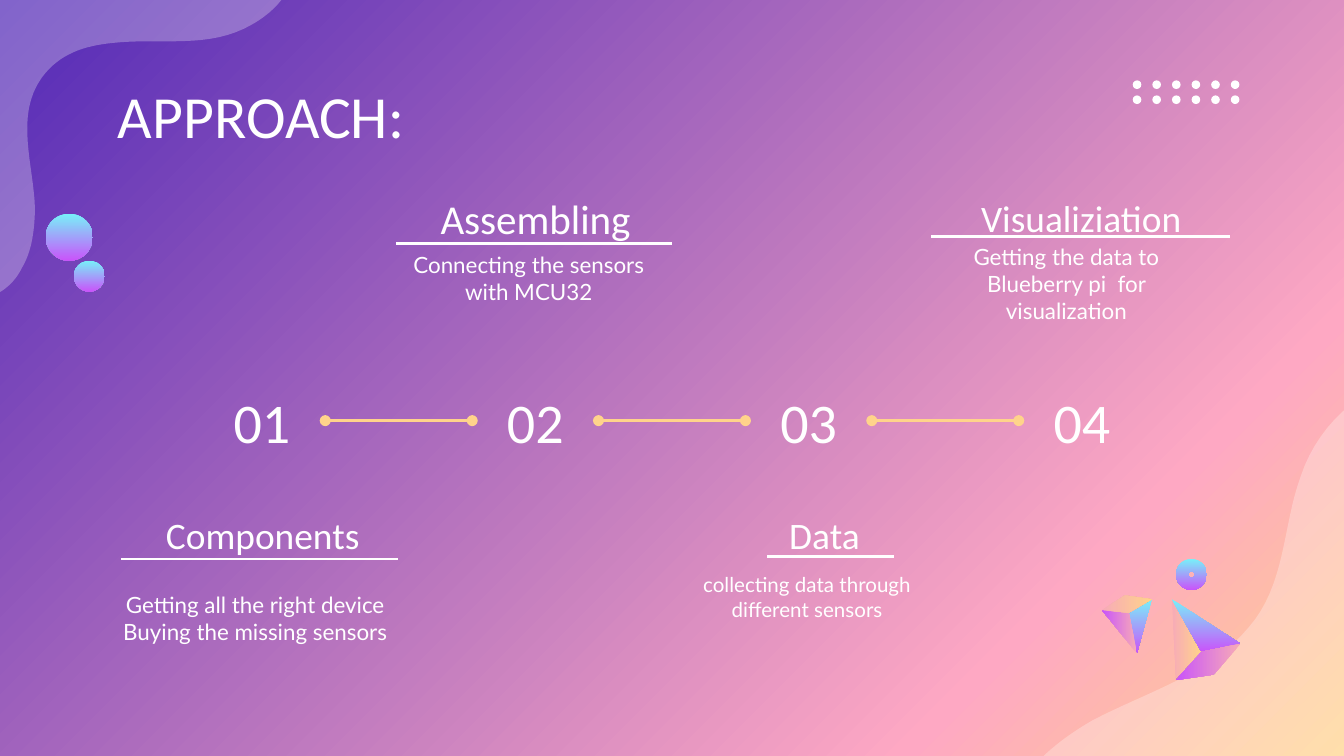
"""Builds a four-step approach timeline slide on a 100-column grid."""
import copy
from dataclasses import dataclass

import pptx
import pptx.dml.color
import pptx.enum.shapes
import pptx.enum.text
import pptx.oxml
import pptx.oxml.ns
import pptx.util

CELL = pptx.util.Inches(0.1)
COLUMNS, ROWS = 100, 56.25
SHAPE = pptx.enum.shapes.MSO_SHAPE
CONNECTOR = pptx.enum.shapes.MSO_CONNECTOR
ALIGN = pptx.enum.text.PP_ALIGN
qn = pptx.oxml.ns.qn


@dataclass(frozen=True)
class Theme:
    """Colours, gradients and type sizes of the slide."""
    white: str = "FFFFFF"
    gold: str = "FFD38B"
    backdrop: tuple = ((0, "5229B7"), (0.79, "FEA8C3"), (1, "FFD38B"))
    cool: tuple = ((0, "78F0F9"), (1, "C954FA"))
    pink: tuple = ((0, "F7ABB7"), (1, "C954FA"))
    warm: tuple = ((0, "F7ABB7"), (1, "FFD38B"))
    heading_font: str = "Calibri"
    body_font: str = "Lato"
    title: int = 32
    number: int = 30
    heading_large: int = 22
    heading: int = 20
    body: int = 12
    body_small: int = 11
    rule: float = 1.5
    blob_opacity: int = 28


THEME = Theme()


@dataclass(frozen=True)
class Box:
    """A region in grid columns and rows."""
    left: float
    top: float
    width: float
    height: float

    def inner(self, left, top, width, height):
        """Return a box offset from this box's top-left corner."""
        return Box(self.left + left, self.top + top, width, height)

    def lengths(self):
        """Return the box as slide lengths."""
        return [cells(value) for value in (self.left, self.top, self.width, self.height)]


STEPS = (
    (Box(8.4, 37, 22.3, 5.6), "Components", THEME.heading, (0.6, 4.6, 20.6),
     ("Getting all the right device", "Buying the missing sensors"), THEME.body, (-1.1, 7.3, 23.4, 3.4)),
    (Box(28.7, 13.4, 22.3, 5.6), "Assembling", THEME.heading_large, (0.8, 4.7, 20.5),
     ("Connecting the sensors with MCU32",), THEME.body, (0.5, 4.9, 20.3, 4.8)),
    (Box(49, 37, 24.7, 5.6), "Data", THEME.heading, (8.1, 4.4, 9.4),
     ("collecting data through different sensors",), THEME.body_small, (1.8, 4.6, 18.5, 5.6)),
    (Box(69.3, 13.4, 22.3, 5.6), "Visualiziation", THEME.heading, (0, 4.2, 22.2),
     ("Getting the data to Blueberry pi  for visualization",), THEME.body, (0.8, 4.9, 18.5, 5.6)),
)
LOWER_WAVE = ((32.4, 0), (
    ((28.2, 0.6), (24.4, 3.6), (23, 7.8)), ((21.6, 11.6), (21.9, 15.9), (19.1, 19.1)),
    ((16.2, 22.6), (11.5, 23.9), (7.5, 26)), ((5.6, 27.1), (3.7, 28.5), (2.4, 30.3)),
    ((1.2, 31.9), (0.4, 33.8), (0.1, 35.8)), ((0, 36.5), (0, 37.2), (0, 38))), (32.4, 38))
UPPER_WAVE = ((3.7, 26.6), (
    ((4.4, 26.2), (5, 25.6), (5.4, 24.8)), ((6.2, 23.5), (6.4, 21.8), (6.4, 20.2)),
    ((6.3, 17.1), (4.9, 13.4), (6.9, 10.6)), ((8.2, 8.8), (10.1, 8.2), (12.2, 8)),
    ((15.7, 7.6), (19.4, 8.5), (22.6, 6.6)), ((24, 5.8), (25.2, 4.6), (25.7, 3)),
    ((26, 2), (26, 1), (25.9, 0))), (0, 4.2))


def cells(count):
    """Convert grid cells to a slide length."""
    return pptx.util.Emu(round(count * CELL))


def rgb(value):
    """Return a colour object for a hex value."""
    return pptx.dml.color.RGBColor.from_string(value)


def fill_gradient(fill, element, stops, angle):
    """Apply a linear gradient, with the angle counted clockwise."""
    fill.gradient()
    fill.gradient_angle = (360 - angle) % 360
    stop_list = next(element.iter(qn("a:gsLst")))
    for _ in stops[2:]:
        stop_list.append(copy.deepcopy(stop_list[0]))
    for stop, (position, color) in zip(fill.gradient_stops, stops):
        stop.position = position
        stop.color.rgb = rgb(color)


def finish(shape, color=None, stops=None, angle=90):
    """Give a shape a plain or gradient fill without outline or shadow."""
    shape.shadow.inherit = False
    shape.line.fill.background()
    if stops:
        fill_gradient(shape.fill, shape.element, stops, angle)
    else:
        shape.fill.solid()
        shape.fill.fore_color.rgb = rgb(color)


def add_outline(shapes, box, points):
    """Add a closed outline whose points are offsets within the box."""
    corners = [(cells(box.left + x), cells(box.top + y)) for x, y in points]
    builder = shapes.build_freeform(*corners[0], scale=1.0)
    builder.add_line_segments(corners[1:], close=True)
    return builder.convert_to_shape()


def add_text(slide, box, lines, size, font, align=ALIGN.CENTER):
    """Add vertically centred white text."""
    shape = slide.shapes.add_textbox(*box.lengths())
    frame = shape.text_frame
    frame.word_wrap = True
    frame.vertical_anchor = pptx.enum.text.MSO_ANCHOR.MIDDLE
    frame.margin_left = frame.margin_right = frame.margin_top = frame.margin_bottom = CELL
    frame.text = "\n".join(lines)
    for paragraph in frame.paragraphs:
        paragraph.alignment = align
        paragraph.font.size = pptx.util.Pt(size)
        paragraph.font.name = font
        paragraph.font.color.rgb = rgb(THEME.white)
    return shape


def add_line(slide, kind, start, end, color):
    """Add a connector without shadow."""
    line = slide.shapes.add_connector(kind, *map(cells, start + end))
    line.line.color.rgb = rgb(color)
    line.line.width = pptx.util.Pt(THEME.rule)
    pptx.oxml.ns  # noqa
    line.element.spPr.append(pptx.oxml.parse_xml(f"<a:effectLst {pptx.oxml.ns.nsdecls('a')}/>"))
    return line


def add_wave(slide, box, wave):
    """Add a translucent corner wave made of cubic curves."""
    start, curves, corner = wave
    points, samples = [start], 16
    for first, second, end in curves:
        origin = points[-1]
        for index in range(1, samples + 1):
            t = index / samples
            weights = ((1 - t) ** 3, 3 * t * (1 - t) ** 2, 3 * t * t * (1 - t), t ** 3)
            anchors = (origin, first, second, end)
            points.append(tuple(sum(w * p[axis] for w, p in zip(weights, anchors)) for axis in (0, 1)))
    shape = add_outline(slide.shapes, box, points + [corner])
    finish(shape, THEME.white)
    color = next(shape.element.spPr.iter(qn("a:srgbClr")))
    color.append(pptx.oxml.parse_xml(
        f'<a:alpha {pptx.oxml.ns.nsdecls("a")} val="{THEME.blob_opacity * 1000}"/>'))


def add_step(slide, box, heading, heading_size, rule, lines, body_size, body):
    """Add a heading, its rule and the description below it."""
    add_text(slide, box, [heading], heading_size, THEME.heading_font)
    add_text(slide, box.inner(*body), lines, body_size, THEME.body_font)
    left, top, width = rule
    start = (box.left + left, box.top + top)
    add_line(slide, CONNECTOR.STRAIGHT, start, (start[0] + width, start[1]), THEME.white)


def add_timeline(slide, box, count):
    """Add evenly spaced numbers joined by dotted-end connectors."""
    width = 9.4
    pitch = (box.width - width) / (count - 1)
    numbers = [add_text(slide, box.inner(index * pitch, 0, width, box.height), [f"{index + 1:02}"],
                        THEME.number, THEME.heading_font) for index in range(count)]
    for before, after in zip(numbers, numbers[1:]):
        line = add_line(slide, CONNECTOR.CURVE, (0, 0), (0, 0), THEME.gold)
        line.begin_connect(before, 3)
        line.end_connect(after, 1)
        for end in ("headEnd", "tailEnd"):
            line.line._get_or_add_ln().append(pptx.oxml.parse_xml(
                f'<a:{end} {pptx.oxml.ns.nsdecls("a")} type="oval"/>'))


def add_pyramid(slide, box, apex, inner, tip, side, back, faces):
    """Add a pyramid of three gradient faces around an inner vertex."""
    group = slide.shapes.add_group_shape()
    outlines = ((tip, inner, apex), (apex, inner, side), (side, inner, tip, back))
    for outline, (stops, angle) in zip(outlines, faces):
        finish(add_outline(group.shapes, box, outline), stops=stops, angle=angle)


def add_dots(slide, box, columns, rows, size):
    """Add a grid of white dots filling the box."""
    group = slide.shapes.add_group_shape()
    for row in range(rows):
        for column in range(columns):
            left = column * (box.width - size) / (columns - 1)
            top = row * (box.height - size) / (rows - 1)
            dot = group.shapes.add_shape(SHAPE.OVAL, *box.inner(left, top, size, size).lengths())
            finish(dot, THEME.white)


def add_orb(slide, box, kind=SHAPE.OVAL):
    """Add a cool gradient orb."""
    orb = slide.shapes.add_shape(kind, *box.lengths())
    finish(orb, stops=THEME.cool)
    return orb


def main():
    """Build and save the slide."""
    presentation = pptx.Presentation()
    presentation.slide_width, presentation.slide_height = cells(COLUMNS), cells(ROWS)
    slide = presentation.slides.add_slide(presentation.slide_layouts[6])
    fill_gradient(slide.background.fill, slide.element, THEME.backdrop, 45)
    add_wave(slide, Box(73.8, 27.6, 32.4, 38), LOWER_WAVE)
    add_wave(slide, Box(-3.8, -4.8, 26, 26.6), UPPER_WAVE)
    add_text(slide, Box(7.8, 5.9, 84.4, 5.3), ["APPROACH:"], THEME.title, THEME.heading_font, ALIGN.LEFT)
    add_timeline(slide, Box(14.8, 28.7, 70.4, 5.2), len(STEPS))
    for step in STEPS:
        add_step(slide, *step)
    warm, cool, pink = (THEME.warm, 0), (THEME.cool, 90), (THEME.pink, 180)
    add_pyramid(slide, Box(87.2, 44.6, 5.1, 6), (0, 0), (2.2, 3.9), (0.3, 6), (5.1, 3.3), (3.1, 5.6),
                (warm, cool, pink))
    add_pyramid(slide, Box(82, 44.3, 3.7, 4.3), (2.6, 4.3), (2, 1.3), (3.7, 0.3), (0, 1.1), (1.7, 0),
                (cool, pink, warm))
    add_orb(slide, Box(87.5, 41.6, 2.3, 2.3), SHAPE.DONUT).adjustments[0] = 0.4
    add_dots(slide, Box(84.28, 5.98, 7.94, 1.76), 6, 2, 0.64)
    add_orb(slide, Box(3.4, 15.9, 3.5, 3.5))
    add_orb(slide, Box(5.5, 19.4, 2.3, 2.3))
    presentation.save("out.pptx")


if __name__ == "__main__":
    main()
